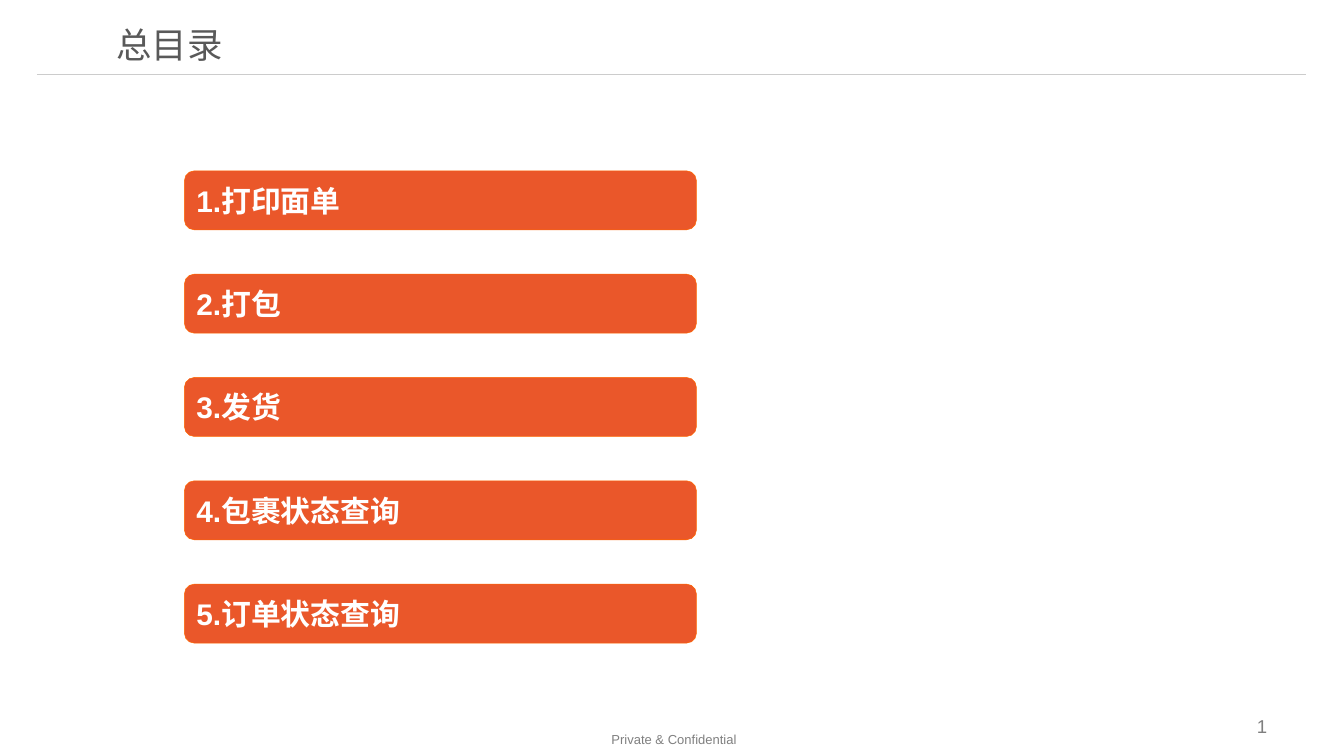
from pptx import Presentation
from pptx.dml.color import RGBColor
from pptx.enum.shapes import MSO_CONNECTOR as Link, MSO_SHAPE as Shape
from pptx.enum.text import MSO_ANCHOR as Anchor, PP_ALIGN as Align
from pptx.oxml.ns import qn
from pptx.util import Inches, Pt
from lxml.etree import SubElement

WHITE = RGBColor(0xFF, 0xFF, 0xFF)
ORANGE = RGBColor(0xEA, 0x57, 0x2A)
EDGE = RGBColor(0xFF, 0x66, 0x00)
RULE = RGBColor(0xCC, 0xCC, 0xCC)
DARK = RGBColor(0x59, 0x59, 0x59)
GREY = RGBColor(0x80, 0x80, 0x80)
PALE = RGBColor(0x7F, 0x7F, 0x7F)
TOPICS = ["打印面单", "打包", "发货", "包裹状态查询", "订单状态查询"]


def write(shape, text, size, color, bold=False, align=Align.LEFT,
          anchor=Anchor.MIDDLE, pad=0.18, space=None):
    """Fill a shape with one formatted paragraph."""
    frame = shape.text_frame
    frame.word_wrap = True
    frame.vertical_anchor = anchor
    frame.margin_left = frame.margin_right = Inches(0.18)
    frame.margin_top = frame.margin_bottom = Inches(pad)
    para = frame.paragraphs[0]
    para.alignment = align
    para.line_spacing = space
    run = para.add_run()
    run.text = text
    font = run.font
    font.name, font.size, font.bold = "Arial", Pt(size), bold
    font.color.rgb = color


def header(slide, left, top, width, height):
    """Place the title above a thin rule in the given box."""
    title = slide.shapes.title
    title.left, title.top = Inches(left + 1.4), Inches(top)
    title.width, title.height = Inches(width - 1.4), Inches(0.56)
    write(title, "总目录", 50.6, DARK, space=0.93)
    base = Inches(top + height)
    rule = slide.shapes.add_connector(
        Link.STRAIGHT, Inches(left), base, Inches(left + width), base)
    rule.line.color.rgb = RULE
    rule.line.width = Pt(1.44)
    SubElement(rule._element.spPr, qn("a:effectLst"))


def agenda(slide, left, top, width, height):
    """Stack the numbered topic bars evenly in the given box."""
    tall = 1.17
    step = (height - tall) / (len(TOPICS) - 1)
    for index, topic in enumerate(TOPICS):
        bar = slide.shapes.add_shape(
            Shape.ROUNDED_RECTANGLE, Inches(left), Inches(top + index * step),
            Inches(width), Inches(tall))
        bar.shadow.inherit = False
        bar.fill.solid()
        bar.fill.fore_color.rgb = ORANGE
        bar.line.color.rgb = EDGE
        bar.line.width = Pt(0.75)
        write(bar, f"{index + 1}.{topic}", 42.6, WHITE, bold=True)


def footer(slide, left, top, width, height):
    """Place the centred notice and the page number in the given box."""
    note = slide.shapes.add_textbox(
        Inches(left), Inches(top + 0.31), Inches(width), Inches(height - 0.31))
    write(note, "Private & Confidential", 18.6, GREY, align=Align.CENTER,
          anchor=Anchor.TOP, pad=0.1, space=0.93)
    page = slide.shapes.add_textbox(
        Inches(left + 24.76), Inches(top), Inches(1.9), Inches(height))
    write(page, "1", 26.6, PALE, anchor=Anchor.TOP, pad=0.09, space=0.93)


def main():
    """Build and save the contents slide."""
    deck = Presentation()
    deck.slide_width, deck.slide_height = Inches(26.67), Inches(15)
    slide = deck.slides.add_slide(deck.slide_layouts[5])
    slide.background.fill.solid()
    slide.background.fill.fore_color.rgb = WHITE
    header(slide, 0.73, 0.65, 25.19, 0.83)
    agenda(slide, 3.66, 3.39, 10.16, 9.37)
    footer(slide, 0, 14.13, 26.75, 0.8)
    deck.save("out.pptx")


if __name__ == "__main__":
    main()
